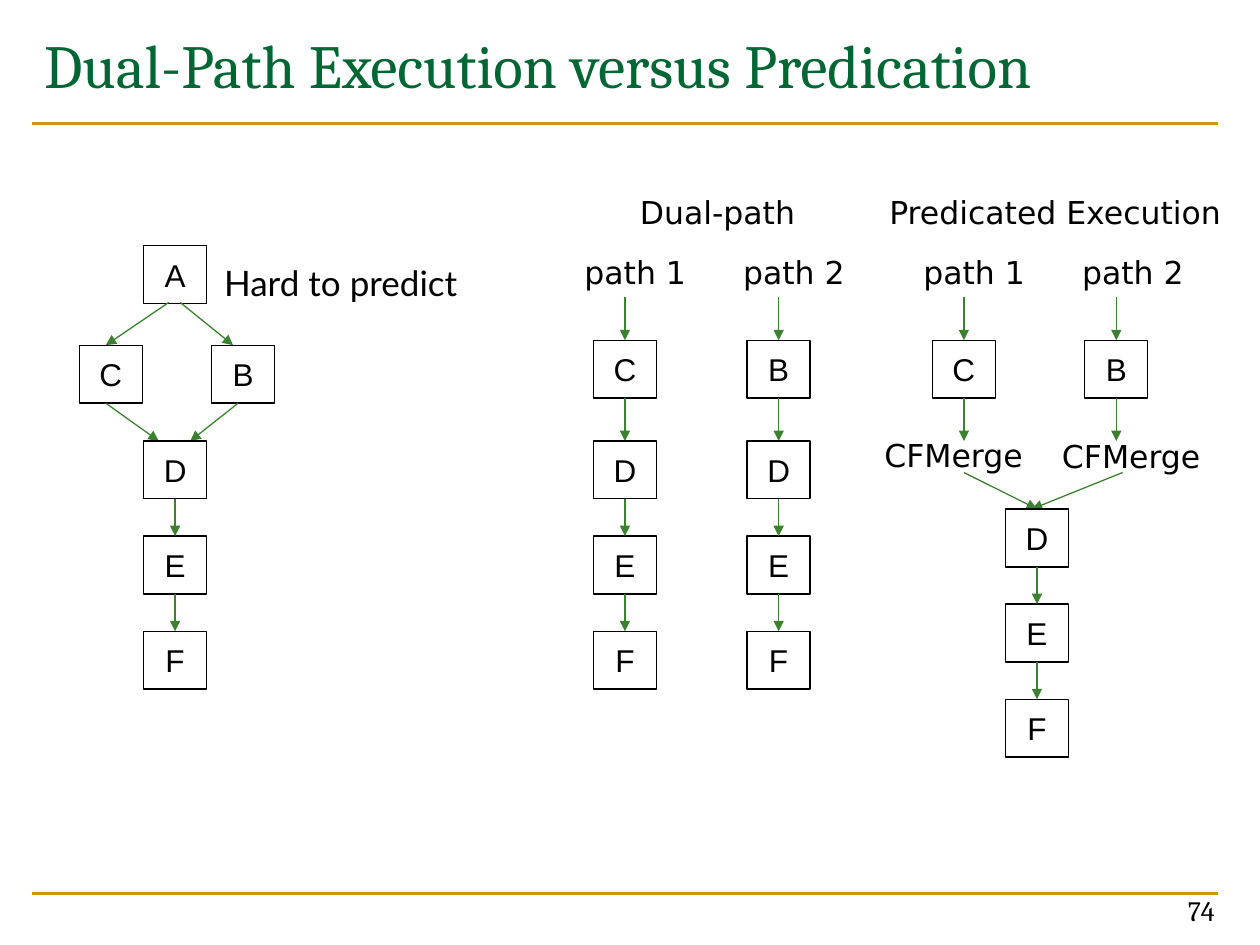
from pptx import Presentation
from pptx import util as u
from pptx.dml.color import RGBColor
from pptx.enum import shapes, text
from pptx.oxml import parse_xml
from pptx.oxml.ns import nsdecls

BLACK, GREEN, GOLD, TITLE = "000000", "3B812F", "CC9900", "006633"


def color(value):
    return RGBColor.from_string(value)


class FlowPage:
    box_width, box_height, pitch = 0.5, 0.46, 0.755

    def __init__(self, deck):
        self.page = deck.slides.add_slide(deck.slide_layouts[5])

    def place(self, shape, left, top, width, height):
        shape.left, shape.top = u.Inches(left), u.Inches(top)
        shape.width, shape.height = u.Inches(width), u.Inches(height)

    def set_text(self, shape, words, size, font, shade=BLACK, align=text.PP_ALIGN.LEFT,
                 anchor=text.MSO_ANCHOR.TOP, wrap=True):
        frame = shape.text_frame
        frame.word_wrap, frame.vertical_anchor = wrap, anchor
        frame.auto_size = text.MSO_AUTO_SIZE.NONE
        para = frame.paragraphs[0]
        para.alignment = align
        span = para.add_run()
        span.text = words
        span.font.size, span.font.name = u.Pt(size), font
        span.font.color.rgb = color(shade)

    def title(self, words):
        holder = self.page.shapes.title
        self.place(holder, 0.25, 0.17, 9.75, 1.17)
        self.set_text(holder, words, 35, "Cambria", TITLE)

    def label(self, words, left, top, width, height=0.4, size=18, font="DejaVu Sans", **style):
        label = self.page.shapes.add_textbox(
            u.Inches(left), u.Inches(top), u.Inches(width), u.Inches(height))
        self.set_text(label, words, size, font, **style)

    def line(self, start, end, shade=GREEN, width=0.75, arrow=True):
        line = self.page.shapes.add_connector(
            shapes.MSO_CONNECTOR.STRAIGHT, *[u.Inches(n) for n in (*start, *end)])
        line.line.color.rgb = color(shade)
        line.line.width = u.Pt(width)
        if arrow:
            line.get_or_add_ln().append(
                parse_xml(f'<a:tailEnd {nsdecls("a")} type="triangle"/>'))
        line._element.spPr.append(parse_xml(f'<a:effectLst {nsdecls("a")}/>'))

    def block(self, letter, center, top):
        block = self.page.shapes.add_shape(shapes.MSO_SHAPE.RECTANGLE, 0, 0, 0, 0)
        self.place(block, center - self.box_width / 2, top, self.box_width, self.box_height)
        block.shadow.inherit = False
        block.fill.background()
        block.line.color.rgb = color(BLACK)
        block.line.width = u.Pt(0.75)
        self.set_text(block, letter, 18, "Arial", align=text.PP_ALIGN.CENTER,
                      anchor=text.MSO_ANCHOR.MIDDLE, wrap=False)

    def tail(self, center, top):
        for step, letter in enumerate("DEF"):
            block_top = top + step * self.pitch
            self.block(letter, center, block_top)
            if step:
                gap_top = block_top - self.pitch + self.box_height
                self.line((center, gap_top), (center, block_top))

    def branch(self, letter, center):
        self.line((center, 2.36), (center, 2.7))
        self.block(letter, center, 2.7)
        self.line((center, 3.16), (center, 3.5))


deck = Presentation()
deck.slide_width, deck.slide_height = u.Inches(10), u.Inches(7.5)
flow = FlowPage(deck)

for rule_top in (7.09, 0.98):
    flow.line((0.25, rule_top), (9.67, rule_top), GOLD, 1.5, arrow=False)
flow.title("Dual-Path Execution versus Predication")
flow.label("74", 7.41, 6.91, 2.33, 0.5, 16, "Cambria",
           align=text.PP_ALIGN.RIGHT, anchor=text.MSO_ANCHOR.BOTTOM)
flow.label("Hard to predict", 1.68, 2.03, 2.82, 0.49, 20, "Lato")

for letter, center, top in (("A", 1.39, 1.95), ("B", 1.93, 2.74), ("C", 0.88, 2.74)):
    flow.block(letter, center, top)
for start, end in (((1.34, 2.4), (0.84, 2.74)), ((1.43, 2.4), (1.85, 2.74)),
                   ((0.84, 3.2), (1.26, 3.5)), ((1.89, 3.2), (1.51, 3.5)),
                   ((7.65, 3.75), (8.23, 4.04)), ((8.91, 3.75), (8.19, 4.04))):
    flow.line(start, end)

for letter, center in (("C", 4.96), ("B", 6.18), ("C", 7.65), ("B", 8.86)):
    flow.branch(letter, center)
for center, top in ((1.39, 3.5), (4.96, 3.5), (6.18, 3.5), (8.23, 4.04)):
    flow.tail(center, top)

for words, left, top, width in (
        ("Dual-path", 4.98, 1.48, 1.45), ("Predicated Execution", 6.96, 1.48, 2.85),
        ("path 1", 4.54, 1.96, 1.08), ("path 2", 5.8, 1.96, 1.1),
        ("path 1", 7.23, 1.96, 1.08), ("path 2", 8.49, 1.96, 1.1),
        ("CFMerge", 6.92, 3.41, 1.3), ("CFMerge", 8.33, 3.42, 1.3)):
    flow.label(words, left, top, width, wrap=False)

deck.save("out.pptx")
